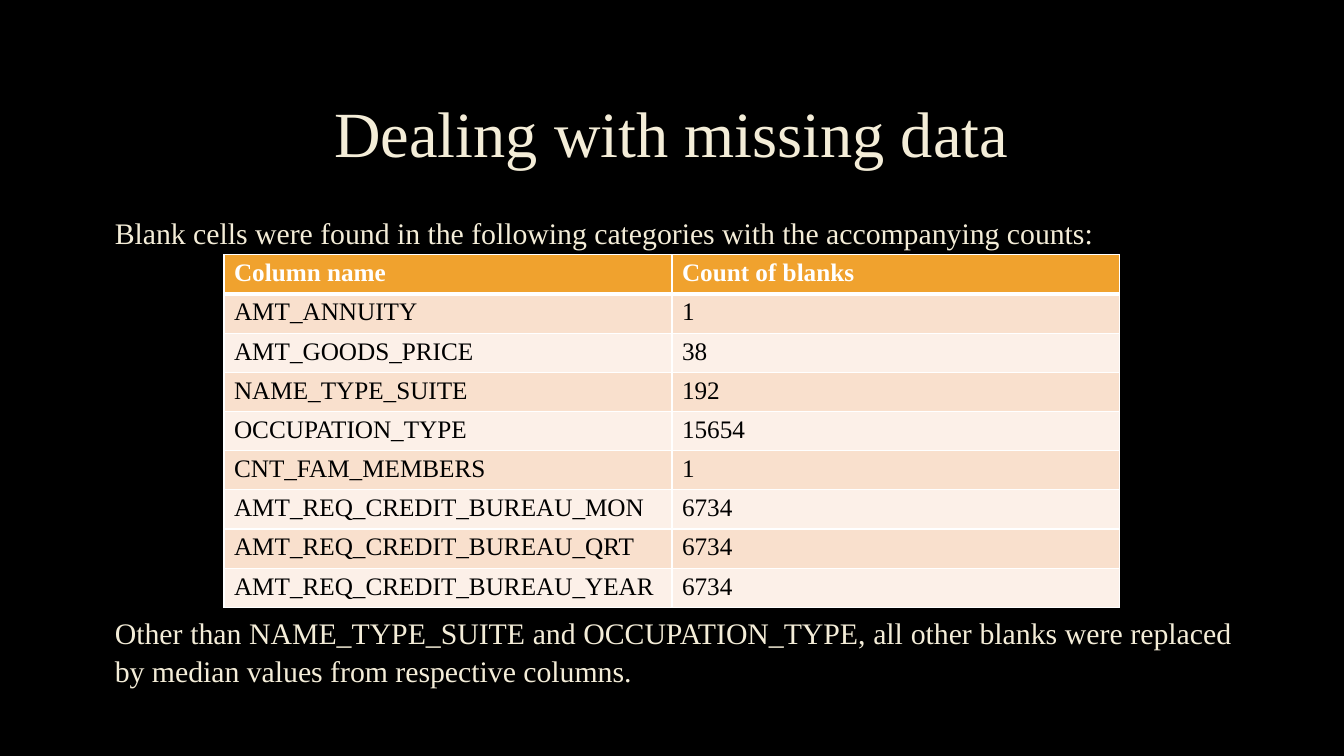
from dataclasses import dataclass

from lxml.etree import SubElement
from pptx import Presentation
from pptx.dml.color import RGBColor
from pptx.enum.text import MSO_ANCHOR, MSO_AUTO_SIZE, PP_ALIGN
from pptx.oxml.ns import qn
from pptx.slide import Slide
from pptx.table import _Cell
from pptx.text.text import TextFrame
from pptx.util import Pt

BLACK = RGBColor(0x00, 0x00, 0x00)
WHITE = RGBColor(0xFF, 0xFF, 0xFF)
CREAM = RGBColor(0xF4, 0xED, 0xD8)
ORANGE = RGBColor(0xF0, 0xA2, 0x2E)
PEACH = RGBColor(0xF9, 0xE0, 0xCD)
PALE_PEACH = RGBColor(0xFC, 0xF0, 0xE8)

FONT = "Times New Roman"
CONTENT_LEFT, CONTENT_WIDTH = 72, 815
COLUMN_WIDTH, ROW_HEIGHT = 320, 27.2


@dataclass(frozen=True)
class Statement:
    text: str
    top: float
    height: float


@dataclass(frozen=True)
class BlankCount:
    column: str
    count: int


STATEMENTS = [
    Statement("Blank cells were found in the following categories "
              "with the accompanying counts:", 152, 27),
    Statement("Other than NAME_TYPE_SUITE and OCCUPATION_TYPE, all other blanks "
              "were replaced by median values from respective columns.", 438, 54),
]

BLANK_COUNTS = [
    BlankCount("AMT_ANNUITY", 1),
    BlankCount("AMT_GOODS_PRICE", 38),
    BlankCount("NAME_TYPE_SUITE", 192),
    BlankCount("OCCUPATION_TYPE", 15654),
    BlankCount("CNT_FAM_MEMBERS", 1),
    BlankCount("AMT_REQ_CREDIT_BUREAU_MON", 6734),
    BlankCount("AMT_REQ_CREDIT_BUREAU_QRT", 6734),
    BlankCount("AMT_REQ_CREDIT_BUREAU_YEAR", 6734),
]


def write_text(frame: TextFrame, text: str, *, size: float, color: RGBColor,
               bold: bool = False, align: PP_ALIGN = PP_ALIGN.LEFT,
               line_spacing: float = 1.0) -> None:
    paragraph = frame.paragraphs[0]
    paragraph.alignment = align
    paragraph.line_spacing = line_spacing
    run = paragraph.add_run()
    run.text = text
    run.font.name = FONT
    run.font.size = Pt(size)
    run.font.bold = bold
    run.font.color.rgb = color


def add_title(slide: Slide, text: str) -> None:
    title = slide.shapes.title
    title.left, title.top = Pt(CONTENT_LEFT), Pt(48)
    title.width, title.height = Pt(CONTENT_WIDTH), Pt(99)
    frame = title.text_frame
    frame.auto_size = MSO_AUTO_SIZE.NONE
    frame.vertical_anchor = MSO_ANCHOR.MIDDLE
    write_text(frame, text, size=46, color=CREAM, align=PP_ALIGN.CENTER,
               line_spacing=0.9)


def add_statement(slide: Slide, statement: Statement) -> None:
    box = slide.shapes.add_textbox(Pt(CONTENT_LEFT), Pt(statement.top),
                                   Pt(CONTENT_WIDTH), Pt(statement.height))
    frame = box.text_frame
    frame.word_wrap = True
    frame.margin_left = Pt(10)
    frame.margin_top = frame.margin_bottom = 0
    write_text(frame, statement.text, size=21.3, color=CREAM,
               align=PP_ALIGN.JUSTIFY, line_spacing=1.05)


def set_borders(cell: _Cell, widths: dict[str, float]) -> None:
    """Put white borders, given as side to width, ahead of the cell's fill."""
    properties = cell._tc.get_or_add_tcPr()
    for position, (side, width) in enumerate(widths.items()):
        line = SubElement(properties, qn(f"a:ln{side}"), w=str(Pt(width)))
        fill = SubElement(line, qn("a:solidFill"))
        SubElement(fill, qn("a:srgbClr"), val=str(WHITE))
        properties.insert(position, line)


def add_blank_count_table(slide: Slide) -> None:
    rows = [("Column name", "Count of blanks")]
    rows += [(entry.column, str(entry.count)) for entry in BLANK_COUNTS]
    table = slide.shapes.add_table(len(rows), 2, Pt(160), Pt(182),
                                   Pt(2 * COLUMN_WIDTH),
                                   Pt(len(rows) * ROW_HEIGHT)).table
    for column in table.columns:
        column.width = Pt(COLUMN_WIDTH)
    for row_index, texts in enumerate(rows):
        table.rows[row_index].height = Pt(ROW_HEIGHT)
        is_header = row_index == 0
        band = PEACH if row_index % 2 else PALE_PEACH
        for column_index, text in enumerate(texts):
            cell = table.cell(row_index, column_index)
            cell.margin_top = cell.margin_bottom = Pt(3.2)
            cell.fill.solid()
            cell.fill.fore_color.rgb = ORANGE if is_header else band
            set_borders(cell, {"L": 1, "R": 1, "T": 3 if row_index == 1 else 1,
                               "B": 3 if is_header else 1})
            write_text(cell.text_frame, text, size=18, bold=is_header,
                       color=WHITE if is_header else BLACK)


def main() -> None:
    presentation = Presentation()
    presentation.slide_width, presentation.slide_height = Pt(960), Pt(540)
    slide = presentation.slides.add_slide(presentation.slide_layouts[5])
    slide.background.fill.solid()
    slide.background.fill.fore_color.rgb = BLACK
    add_title(slide, "Dealing with missing data")
    for statement in STATEMENTS:
        add_statement(slide, statement)
    add_blank_count_table(slide)
    presentation.save("out.pptx")


if __name__ == "__main__":
    main()
